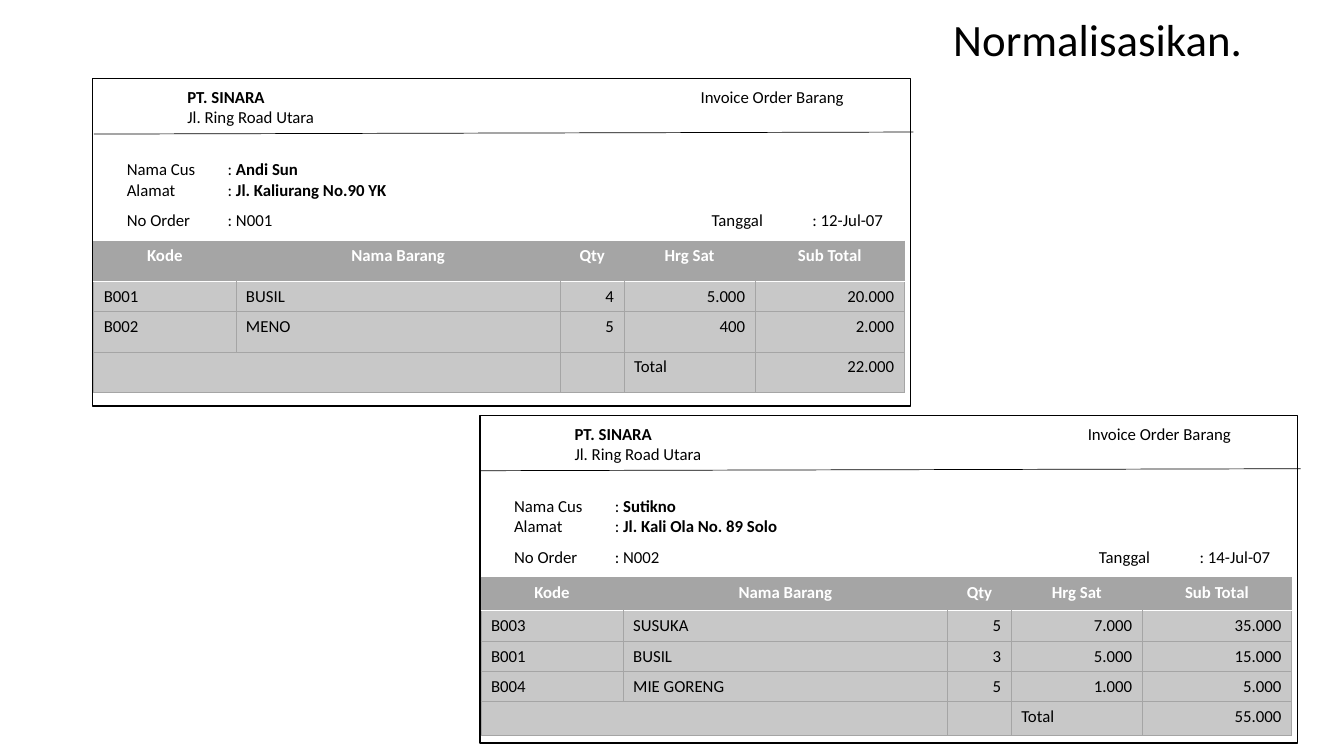
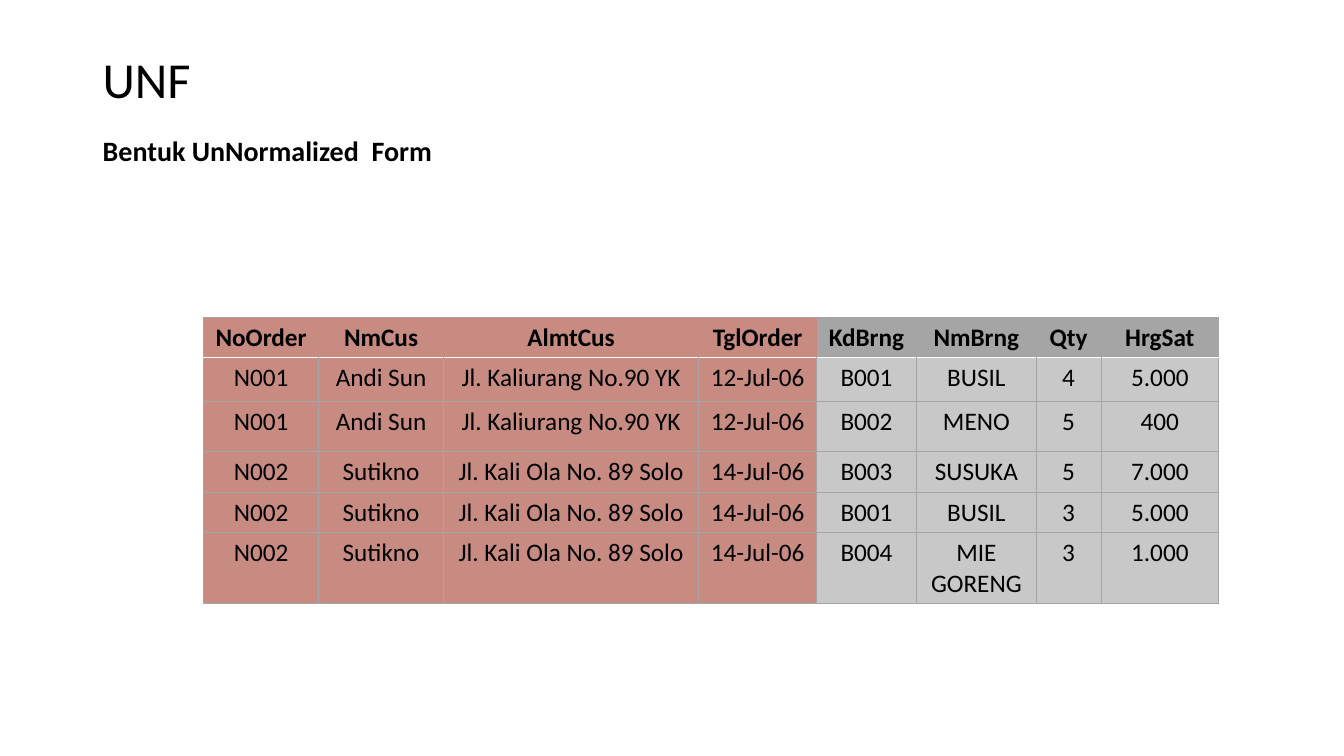
from dataclasses import dataclass

from lxml import etree
from pptx import Presentation
from pptx import util as u
from pptx.dml.color import RGBColor
from pptx.enum import shapes, text
from pptx.oxml.ns import qn

PX = 9144  # 100 px to the inch
FONT = "Calibri"
BLACK, WHITE = "000000", "FFFFFF"
GREY, PALE, ROSE = "A5A5A5", "C8C8C8", "C78B81"
LEFT, CENTER, RIGHT = text.PP_ALIGN.LEFT, text.PP_ALIGN.CENTER, text.PP_ALIGN.RIGHT
TAB_STOP = 100


@dataclass(frozen=True)
class Part:
    """A stretch of text with one weight."""
    words: str
    bold: bool = False


@dataclass(frozen=True)
class Column:
    heading: str
    width: int
    align: text.PP_ALIGN = LEFT
    heading_fill: str = GREY
    body_fill: str = PALE


@dataclass(frozen=True)
class Invoice:
    left: int
    top: int
    customer: str
    address: str
    number: str
    date: str
    items: tuple
    total: str
    row_heights: tuple


INVOICE_COLUMNS = (
    Column("Kode", 141),
    Column("Nama Barang", 322),
    Column("Qty", 63, RIGHT),
    Column("Hrg Sat", 130, RIGHT),
    Column("Sub Total", 148, RIGHT),
)
INVOICES = (
    Invoice(92, 78, "Andi Sun", "Jl. Kaliurang No.90 YK", "N001", "12-Jul-07",
            (("B001", "BUSIL", "4", "5.000", "20.000"),
             ("B002", "MENO", "5", "400", "2.000")),
            "22.000", (40, 30, 40, 40)),
    Invoice(476, 412, "Sutikno", "Jl. Kali Ola No. 89 Solo", "N002", "14-Jul-07",
            (("B003", "SUSUKA", "5", "7.000", "35.000"),
             ("B001", "BUSIL", "3", "5.000", "15.000"),
             ("B004", "MIE GORENG", "5", "1.000", "5.000")),
            "55.000", (33, 30, 30, 30, 33)),
)
UNF_COLUMNS = (
    Column("NoOrder", 114, CENTER, ROSE, ROSE),
    Column("NmCus", 124, CENTER, ROSE, ROSE),
    Column("AlmtCus", 253, CENTER, ROSE, ROSE),
    Column("TglOrder", 117, CENTER, ROSE, ROSE),
    Column("KdBrng", 99, CENTER),
    Column("NmBrng", 119, CENTER),
    Column("Qty", 64, CENTER),
    Column("HrgSat", 117, CENTER),
)
UNF_ORDERS = (
    (("N001", "Andi Sun", "Jl. Kaliurang No.90 YK", "12-Jul-06"),
     (("B001", "BUSIL", "4", "5.000"),
      ("B002", "MENO", "5", "400"))),
    (("N002", "Sutikno", "Jl. Kali Ola No. 89 Solo", "14-Jul-06"),
     (("B003", "SUSUKA", "5", "7.000"),
      ("B001", "BUSIL", "3", "5.000"),
      ("B004", "MIE GORENG", "3", "1.000"))),
)
UNF_HEIGHTS = (40, 43, 50, 40, 40, 70)


def px(*lengths: int) -> list:
    return [u.Emu(length * PX) for length in lengths]


def rgb(color: str) -> RGBColor:
    return RGBColor.from_string(color)


def write(paragraph, part: Part, size: int, color: str = BLACK) -> None:
    run = paragraph.add_run()
    run.text = part.words
    font_format = {"name": FONT, "size": u.Pt(size), "bold": part.bold}
    for name, value in font_format.items():
        setattr(run.font, name, value)
    run.font.color.rgb = rgb(color)


def add_text(slide, box: tuple, lines: list, size: int = 12):
    """Each line is a list of parts and becomes one paragraph."""
    frame = slide.shapes.add_textbox(*px(*box)).text_frame
    frame.word_wrap = True
    for index, parts in enumerate(lines):
        paragraph = frame.add_paragraph() if index else frame.paragraphs[0]
        if any("\t" in part.words for part in parts):
            stops = etree.SubElement(paragraph._p.get_or_add_pPr(), qn("a:tabLst"))
            etree.SubElement(stops, qn("a:tab"), pos=str(TAB_STOP * PX), algn="l")
        for part in parts:
            write(paragraph, part, size)
    return frame


def add_title(slide, words: str, top: int, height: int, size: int,
              align: text.PP_ALIGN = LEFT) -> None:
    frame = add_text(slide, (92, top, 1150, height), [[Part(words)]], size)
    frame.vertical_anchor = text.MSO_ANCHOR.MIDDLE
    title_format = {"alignment": align, "line_spacing": 0.9}
    for name, value in title_format.items():
        setattr(frame.paragraphs[0], name, value)


def set_borders(cell, edges: dict) -> None:
    """Draw each edge in (colour, points), or leave it out for None."""
    properties = cell._tc.get_or_add_tcPr()
    for index, (side, edge) in enumerate(edges.items()):
        line = etree.Element(qn(f"a:ln{side}"))
        properties.insert(index, line)
        if edge is None:
            etree.SubElement(line, qn("a:noFill"))
            continue
        color, width = edge
        line.set("w", str(u.Pt(width)))
        fill = etree.SubElement(line, qn("a:solidFill"))
        etree.SubElement(fill, qn("a:srgbClr"), val=color)


def add_grid(slide, left: int, top: int, columns: tuple, body: list, heights: tuple,
             size: int, heading_color: str):
    rows = [tuple(column.heading for column in columns), *body]
    width = sum(column.width for column in columns)
    grid = slide.shapes.add_table(len(rows), len(columns),
                                  *px(left, top, width, sum(heights))).table
    grid.horz_banding = False
    for grid_column, column in zip(grid.columns, columns):
        grid_column.width = px(column.width)[0]
    thin, rule = (GREY, 0.5), (WHITE, 1)
    last = len(columns) - 1
    for r, (values, height) in enumerate(zip(rows, heights)):
        grid.rows[r].height = px(height)[0]
        heading = r == 0
        for c, (value, column) in enumerate(zip(values, columns)):
            cell = grid.cell(r, c)
            cell.fill.solid()
            cell.fill.fore_color.rgb = rgb(column.heading_fill if heading
                                           else column.body_fill)
            set_borders(cell, {
                "L": None if heading and c > 0 else thin,
                "R": None if heading and c < last else thin,
                "T": rule if r == 1 else thin,
                "B": rule if heading else thin,
            })
            paragraph = cell.text_frame.paragraphs[0]
            paragraph.alignment = CENTER if heading else column.align
            if value:
                write(paragraph, Part(value, heading), size,
                      heading_color if heading else BLACK)
            else:
                etree.SubElement(paragraph._p, qn("a:endParaRPr"), sz=str(size * 100))
    return grid


def draw_invoice(slide, invoice: Invoice) -> None:
    left, top = invoice.left, invoice.top
    frame = slide.shapes.add_shape(shapes.MSO_SHAPE.RECTANGLE, *px(left, top, 811, 325))
    frame.shadow.inherit = False
    frame.fill.solid()
    frame.fill.fore_color.rgb = rgb(WHITE)
    divider = slide.shapes.add_connector(
        shapes.MSO_CONNECTOR.STRAIGHT, *px(left + 1, top + 55, left + 814, top + 53))
    etree.SubElement(divider._element.spPr, qn("a:effectLst"))
    for outlined, width in ((frame, 1), (divider, 0.5)):
        outlined.line.color.rgb = rgb(BLACK)
        outlined.line.width = u.Pt(width)

    blocks = (
        ((84, 3, 218, 50), [[Part("PT. SINARA", True)], [Part("Jl. Ring Road Utara")]]),
        ((593, 3, 218, 30), [[Part("Invoice Order Barang")]]),
        ((24, 75, 337, 50), [[Part("Nama Cus\t: "), Part(invoice.customer, True)],
                             [Part("Alamat\t: "), Part(invoice.address, True)]]),
        ((24, 125, 218, 30), [[Part(f"No Order\t: {invoice.number}")]]),
        ((604, 125, 197, 30), [[Part(f"Tanggal\t: {invoice.date}")]]),
    )
    for (x, y, width, height), lines in blocks:
        add_text(slide, (left + x, top + y, width, height), lines)

    body = [*invoice.items, ("", "", "", "Total", invoice.total)]
    grid = add_grid(slide, left + 1, top + 161, INVOICE_COLUMNS, body,
                    invoice.row_heights, 12, WHITE)
    total_row = len(body)
    grid.cell(total_row, 0).merge(grid.cell(total_row, 1))
    grid.cell(total_row, 3).text_frame.paragraphs[0].alignment = LEFT


def main() -> None:
    deck = Presentation()
    deck.slide_width, deck.slide_height = u.Inches(13.33), u.Inches(7.5)
    blank = deck.slide_layouts[6]

    exercise = deck.slides.add_slide(blank)
    add_title(exercise, "Normalisasikan.", 25, 34, 32, RIGHT)
    for invoice in INVOICES:
        draw_invoice(exercise, invoice)

    unf = deck.slides.add_slide(blank)
    add_title(unf, "UNF", 58, 47, 36)
    add_text(unf, (92, 128, 422, 44), [[Part("Bentuk UnNormalized  Form", True)]], 20)
    records = [order + item for order, items in UNF_ORDERS for item in items]
    add_grid(unf, 202, 315, UNF_COLUMNS, records, UNF_HEIGHTS, 18, BLACK)

    deck.save("out.pptx")


if __name__ == "__main__":
    main()
